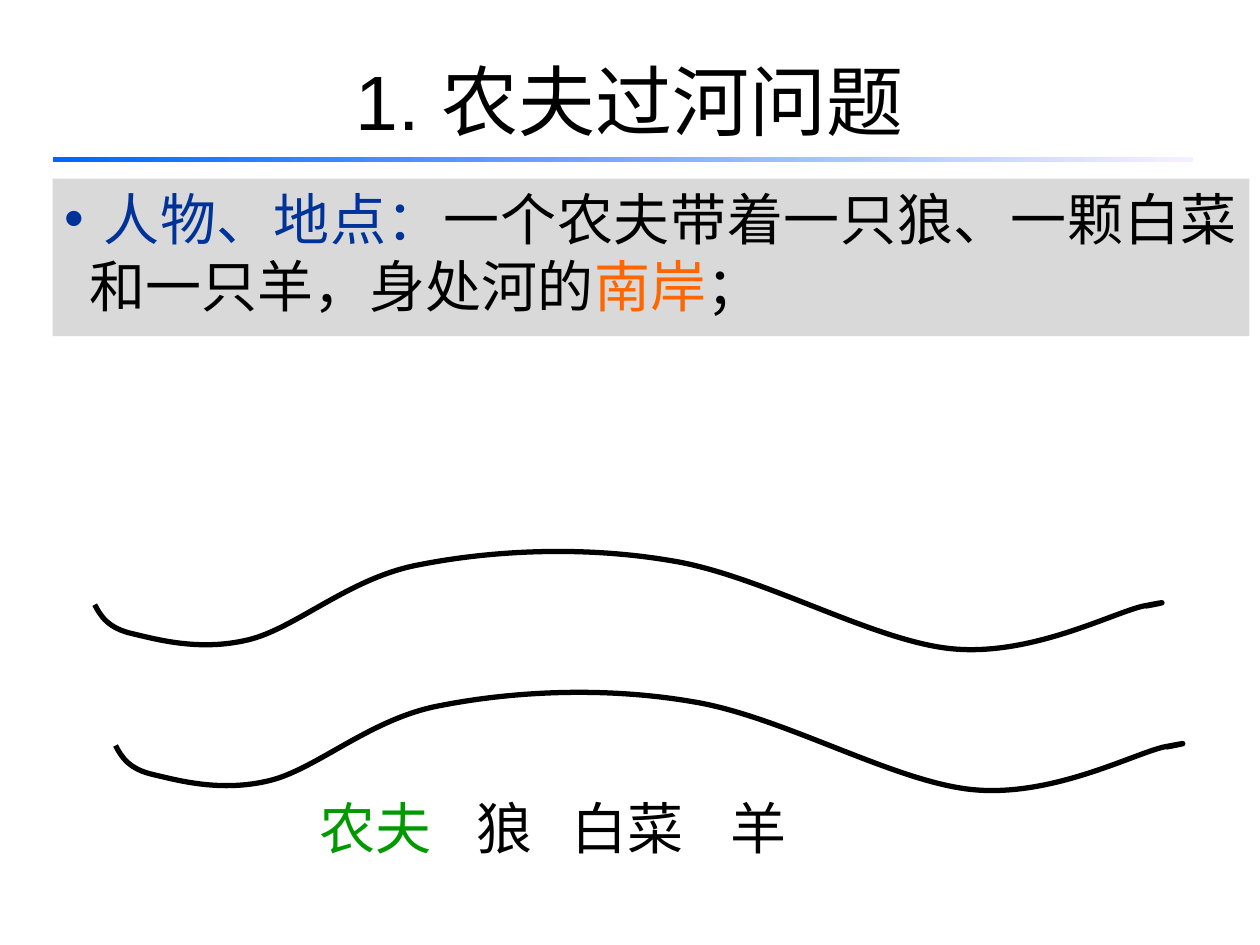
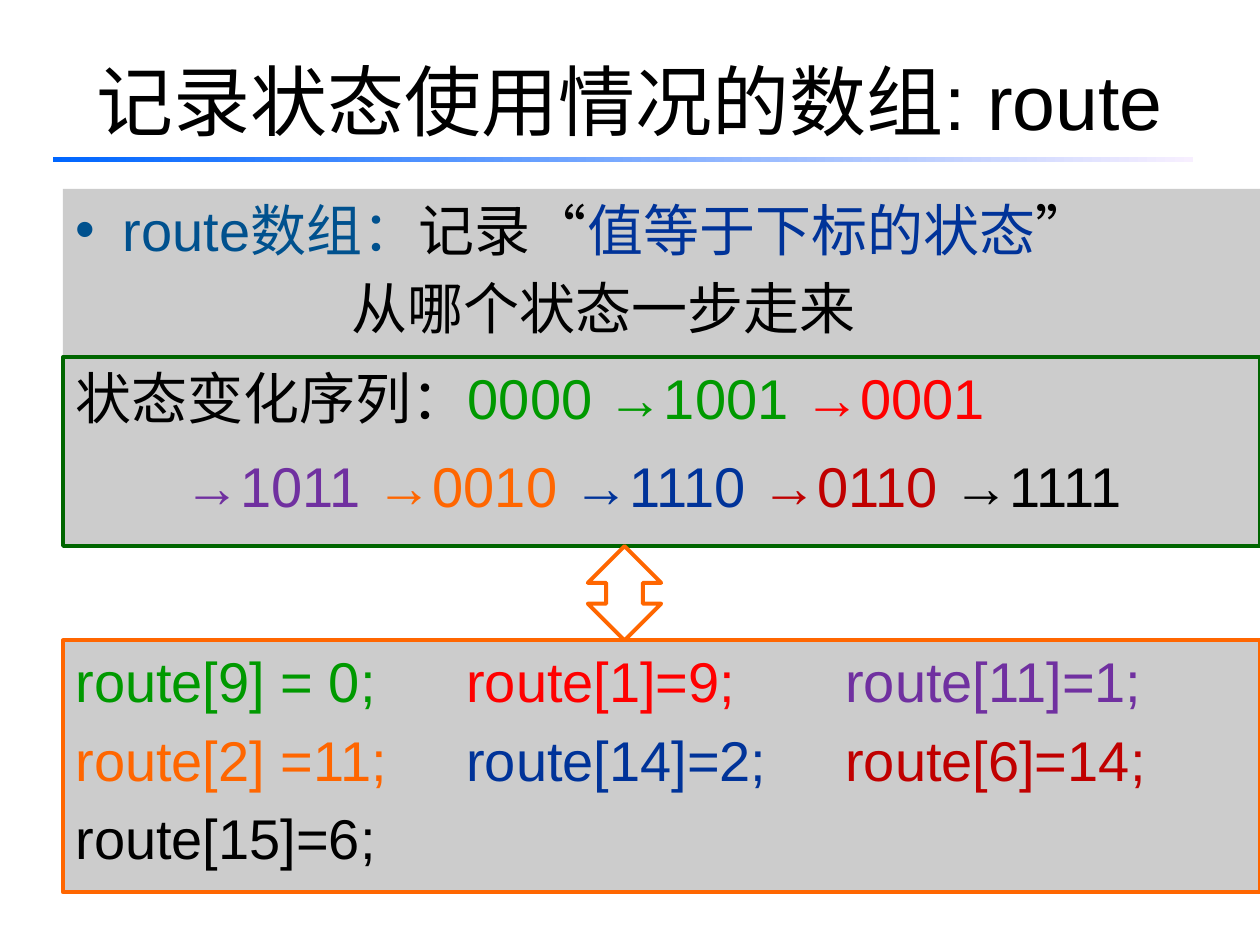
from pptx import Presentation
from pptx.dml.color import RGBColor
from pptx.enum.shapes import MSO_SHAPE
from pptx.enum.text import MSO_ANCHOR, PP_ALIGN
from pptx.oxml.ns import qn
from pptx.util import Cm, Pt
from lxml.etree import SubElement

FONT = "Arial"
BLACK = RGBColor(0x00, 0x00, 0x00)
NAVY = RGBColor(0x00, 0x33, 0x99)
TEAL = RGBColor(0x00, 0x51, 0x8E)
ORANGE = RGBColor(0xFF, 0x66, 0x00)
GREEN = RGBColor(0x00, 0x99, 0x00)
DARK_GREEN = RGBColor(0x00, 0x66, 0x00)
RED = RGBColor(0xFF, 0x00, 0x00)
DARK_RED = RGBColor(0xC0, 0x00, 0x00)
PURPLE = RGBColor(0x70, 0x30, 0xA0)
LIGHT_GREY = RGBColor(0xD9, 0xD9, 0xD9)
GREY = RGBColor(0xCC, 0xCC, 0xCC)
RULE_START = RGBColor(0x00, 0x66, 0xFF)
RULE_END = RGBColor(0xF7, 0xEF, 0xFF)

FARMER_TITLE = "1. 农夫过河问题"
SETTING = [
    dict(runs=[(" ", BLACK), ("人物、地点：", NAVY),
               ("一个农夫带着一只狼、一颗白菜和一只羊，身处河的", BLACK),
               ("南岸", ORANGE), ("；", BLACK)],
         margin=0.5, indent=-0.5, bullet=NAVY),
]
TRAVELLERS = [("农夫", GREEN, 5.7), ("狼", BLACK, 8.86),
              ("白菜", BLACK, 10.78), ("羊", BLACK, 13.97)]
BANK_START = (1.91, 12.19)
BANK_CURVES = [
    ((2.03, 12.42), (2.18, 12.67), (2.69, 12.78)),
    ((3.2, 12.9), (4.04, 13.13), (5.0, 12.9)),
    ((5.97, 12.67), (7.06, 11.63), (8.48, 11.38)),
    ((9.91, 11.1), (11.73, 11.0), (13.51, 11.3)),
    ((15.32, 11.58), (17.6, 12.93), (19.2, 13.08)),
    ((20.78, 13.23), (22.4, 12.37), (23.04, 12.22)),
    ((23.7, 12.09), (23.39, 12.17), (23.09, 12.22)),
]
BANK_OFFSETS = [(0, 0), (0.42, 2.84)]

ROUTE_TITLE = "记录状态使用情况的数组: route"
ROUTE_MEANING = [
    dict(runs=[("route数组：", TEAL), ("记录“", BLACK),
               ("值等于下标的状态", NAVY), ("”", BLACK)],
         margin=0.96, indent=-0.96, bullet=TEAL),
    dict(runs=[("从哪个状态一步走来", BLACK)], margin=5.57),
]
STATE_SEQUENCE = [
    dict(runs=[("状态变化序列：", BLACK), ("0000 →1001 ", GREEN), ("→0001", RED)]),
    dict(runs=[("→1011 ", PURPLE), ("→0010 ", ORANGE), ("→1110 ", NAVY),
               ("→0110 ", DARK_RED), ("→1111", BLACK)],
         margin=2.2, before=12),
]
ROUTE_TABS = (7.88, 15.52)
ROUTE_VALUES = [
    dict(runs=runs, tabs=ROUTE_TABS) for runs in (
        [("route[9] = 0;\t", GREEN), ("route[1]=9;\t", RED), ("route[11]=1;", PURPLE)],
        [("route[2] =11;\t", ORANGE), ("route[14]=2;\t", NAVY), ("route[6]=14;", DARK_RED)],
        [("route[15]=6;", BLACK)],
    )
]
ROUTE_BOXES = [
    (ROUTE_MEANING, 3.81, 3.39, None, 0),
    (STATE_SEQUENCE, 7.2, 3.81, DARK_GREEN, 2),
    (ROUTE_VALUES, 12.91, 5.08, ORANGE, 2.25),
]


def add_run(p, text, color, size):
    r = p.add_run()
    r.text = text
    r.font.name, r.font.size = FONT, Pt(size)
    r.font.color.rgb = color


def write_paragraph(p, runs, margin=0, indent=0, bullet=None, before=6.4, tabs=()):
    p.alignment = PP_ALIGN.JUSTIFY
    p.space_before = Pt(before)
    pPr = p._p.get_or_add_pPr()
    for name, length in (("marL", margin), ("indent", indent)):
        if length:
            pPr.set(name, str(Cm(length)))
    if bullet is not None:
        SubElement(SubElement(pPr, qn("a:buClr")), qn("a:srgbClr"), val=str(bullet))
        SubElement(pPr, qn("a:buFont"), typeface=FONT)
        SubElement(pPr, qn("a:buChar"), char="•")
    if tabs:
        tab_list = SubElement(pPr, qn("a:tabLst"))
        for tab in tabs:
            SubElement(tab_list, qn("a:tab"), pos=str(Cm(tab)), algn="l")
    for text, color in runs:
        add_run(p, text, color, 32)


def write_text(tf, paragraphs):
    tf.word_wrap = True
    tf.vertical_anchor = MSO_ANCHOR.TOP
    for i, paragraph in enumerate(paragraphs):
        p = tf.add_paragraph() if i else tf.paragraphs[0]
        write_paragraph(p, **paragraph)


def style_line(sp, color, width):
    if color is None:
        sp.line.fill.background()
    else:
        sp.line.color.rgb = color
        sp.line.width = Pt(width)


def add_preset(s, kind, left, top, width, height, line=None, line_width=0):
    sp = s.shapes.add_shape(kind, Cm(left), Cm(top), Cm(width), Cm(height))
    sp.shadow.inherit = False
    sp.fill.background()
    style_line(sp, line, line_width)
    return sp


def add_box(s, paragraphs, left, top, height, fill, line=None, line_width=0):
    sp = add_preset(s, MSO_SHAPE.RECTANGLE, left, top, 24.13, height, line, line_width)
    sp.fill.solid()
    sp.fill.fore_color.rgb = fill
    write_text(sp.text_frame, paragraphs)


def add_titled_slide(prs, title):
    s = prs.slides.add_slide(prs.slide_layouts[5])
    sp = s.shapes.title
    sp.left, sp.top, sp.width, sp.height = Cm(1.27), Cm(0.42), Cm(22.86), Cm(3.18)
    sp.text_frame.vertical_anchor = MSO_ANCHOR.MIDDLE
    p = sp.text_frame.paragraphs[0]
    p.alignment = PP_ALIGN.CENTER
    add_run(p, title, BLACK, 44)
    rule = add_preset(s, MSO_SHAPE.RECTANGLE, 1.06, 3.16, 22.99, 0.1)
    rule.fill.gradient()
    rule.fill.gradient_angle = 0
    for stop, color, position in zip(rule.fill.gradient_stops, (RULE_START, RULE_END), (0, 1)):
        stop.color.rgb, stop.position = color, position
    return s


def join_into_curves(sp):
    outline = next(sp._element.iter(qn("a:path")))
    segments = outline.findall(qn("a:lnTo"))
    for i in range(0, len(segments), 3):
        curve = SubElement(outline, qn("a:cubicBezTo"))
        for segment in segments[i:i + 3]:
            curve.append(segment[0])
            outline.remove(segment)


def add_bank(s, dx, dy):
    start, *points = [(Cm(x + dx), Cm(y + dy))
                      for x, y in [BANK_START, *sum(BANK_CURVES, ())]]
    builder = s.shapes.build_freeform(*start)
    builder.add_line_segments(points, close=False)
    sp = builder.convert_to_shape()
    join_into_curves(sp)
    sp.shadow.inherit = False
    sp.fill.background()
    style_line(sp, BLACK, 3)


def build_farmer_slide(prs):
    s = add_titled_slide(prs, FARMER_TITLE)
    for dx, dy in BANK_OFFSETS:
        add_bank(s, dx, dy)
    for name, color, left in TRAVELLERS:
        sp = s.shapes.add_textbox(Cm(left), Cm(15.88), Cm(3.39), Cm(1.9))
        write_text(sp.text_frame, [dict(runs=[(name, color)], margin=0.5)])
    add_box(s, SETTING, 1.06, 3.6, 3.18, LIGHT_GREY)


def build_route_slide(prs):
    s = add_titled_slide(prs, ROUTE_TITLE)
    for paragraphs, top, height, line, line_width in ROUTE_BOXES:
        add_box(s, paragraphs, 1.27, top, height, GREY, line, line_width)
    add_preset(s, MSO_SHAPE.UP_DOWN_ARROW, 11.85, 11.01, 1.48, 1.9, ORANGE, 2.25)


def main():
    prs = Presentation()
    prs.slide_width, prs.slide_height = Cm(25.4), Cm(19.05)
    build_farmer_slide(prs)
    build_route_slide(prs)
    prs.save("out.pptx")


if __name__ == "__main__":
    main()
